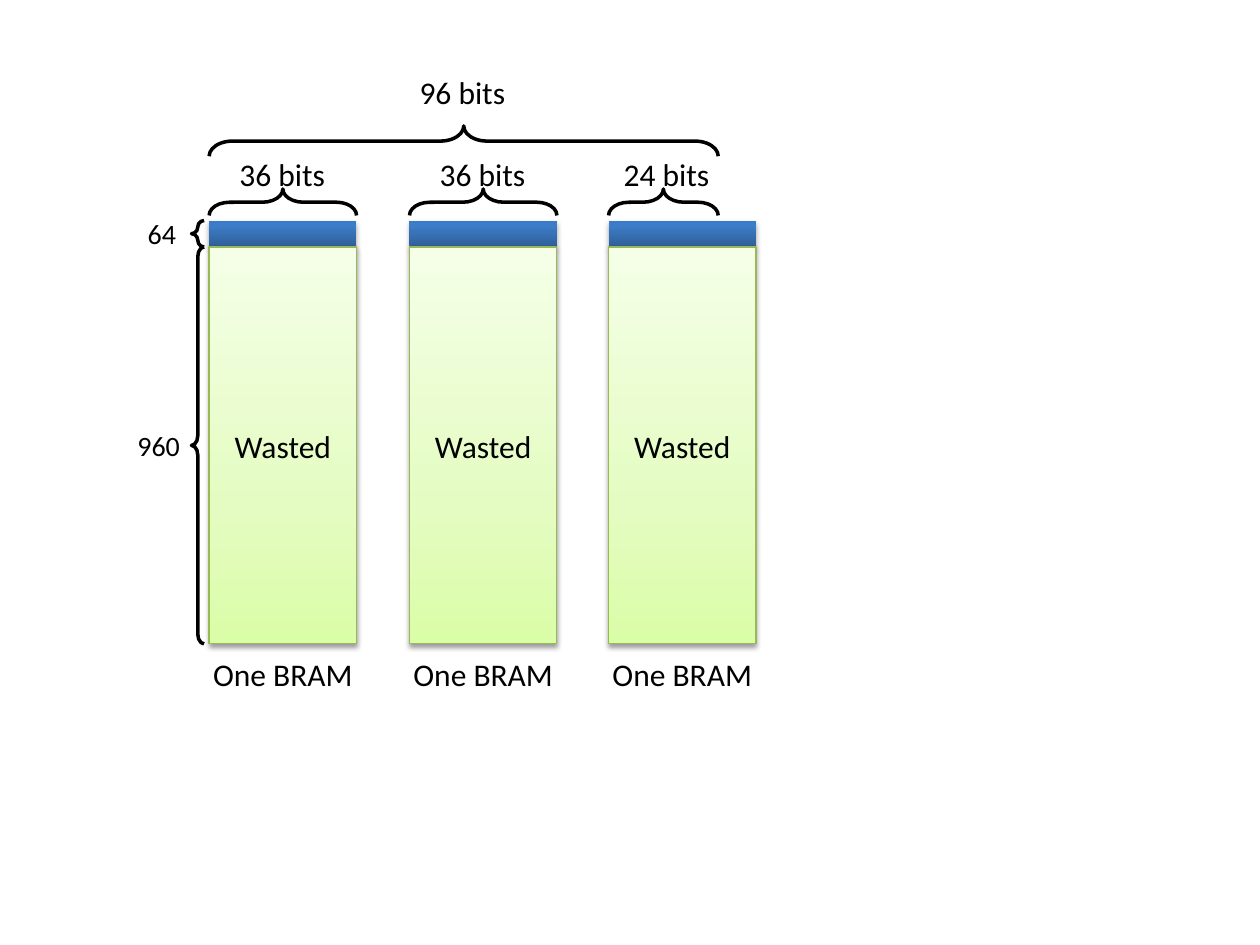
from pptx import Presentation
from pptx.dml.color import RGBColor
from pptx.enum.shapes import MSO_SHAPE
from pptx.enum.text import MSO_ANCHOR, PP_ALIGN
from pptx.oxml import parse_xml
from pptx.oxml.ns import nsdecls
from pptx.util import Inches, Pt

# Content: left edge, used width, bit label, label left
BLOCKS = [
    (1.66, 1.17, "36 bits", 1.74),
    (3.25, 1.17, "36 bits", 3.33),
    (4.83, 0.87, "24 bits", 4.79),
]
# Row count label, left, top, width, brace top, brace height
ROWS = [
    ("64", 1.05, 1.67, 0.47, 1.75, 0.21),
    ("960", 0.93, 3.35, 0.66, 1.96, 3.15),
]
TOTAL, WASTED, CAPTION = "96 bits", "Wasted", "One BRAM"

BLOCK_WIDTH, CAPTION_WIDTH = 1.17, 1.51
USED_TOP, USED_HEIGHT = 1.75, 0.21
WASTED_TOP, WASTED_HEIGHT = 1.96, 3.15
BLUE = [(0, "2F5F99"), (80, "3D7CC7"), (100, "3A7CCB")]
GREEN = [(0, "DAFDA7"), (35, "E4FCC2"), (100, "F5FFE7")]
BLACK, GREEN_EDGE = "000000", "98B955"

deck = Presentation()
deck.slide_width, deck.slide_height = Inches(10), Inches(7.5)
slide = deck.slides.add_slide(deck.slide_layouts[6])


def color(value):
    return RGBColor.from_string(value)


def write(frame, text, size=18):
    frame.word_wrap = True
    frame.vertical_anchor = MSO_ANCHOR.MIDDLE
    paragraph = frame.paragraphs[0]
    paragraph.alignment = PP_ALIGN.CENTER
    run = paragraph.add_run()
    run.text = text
    run.font.name, run.font.size = "Calibri", Pt(size)
    run.font.color.rgb = color(BLACK)


def label(text, left, top, width=1, height=0.4, size=18):
    box = slide.shapes.add_textbox(*map(Inches, (left, top, width, height)))
    write(box.text_frame, text, size=size)


def brace(left, top, width, height, up=False):
    """Brace filling the given area, pointing left or up."""
    if up:
        left, top = left + (width - height) / 2, top + (height - width) / 2
        width, height = height, width
    mark = slide.shapes.add_shape(
        MSO_SHAPE.LEFT_BRACE, *map(Inches, (left, top, width, height)))
    mark.rotation = 90 if up else 0
    mark.adjustments[0] = 0.77
    mark.shadow.inherit = False
    mark.fill.background()
    mark.line.color.rgb, mark.line.width = color(BLACK), Pt(2)


def memory(left, top, height, stops, alpha, distance, edge=None):
    """Shadowed memory area with a vertical gradient, first stop lowest."""
    area = slide.shapes.add_shape(
        MSO_SHAPE.RECTANGLE, *map(Inches, (left, top, BLOCK_WIDTH, height)))
    area.fill.gradient()
    area.fill.gradient_angle = 90
    stop_list = area._element.spPr.find(".//{*}gsLst")
    for old in list(stop_list):
        stop_list.remove(old)
    for position, value in stops:
        stop_list.append(parse_xml(
            f'<a:gs {nsdecls("a")} pos="{position * 1000}">'
            f'<a:srgbClr val="{value}"/></a:gs>'))
    if edge:
        area.line.color.rgb, area.line.width = color(edge), Pt(0.75)
    else:
        area.line.fill.background()
    area.shadow.inherit = False
    area._element.spPr.find("{*}effectLst").append(parse_xml(
        f'<a:outerShdw {nsdecls("a")} blurRad="{Pt(3.1)}" '
        f'dist="{Pt(distance)}" dir="5400000" rotWithShape="0">'
        f'<a:srgbClr val="{BLACK}"><a:alpha val="{alpha * 1000}"/>'
        '</a:srgbClr></a:outerShdw>'))
    return area


# Used rows with their bit widths
for left, used, bits, label_left in BLOCKS:
    memory(left, USED_TOP, USED_HEIGHT, BLUE, 35, 1.8)
    brace(left, 1.5, used, 0.21, up=True)
    label(bits, label_left, 1.18)

# Total width
first_left = BLOCKS[0][0]
last_left, last_used = BLOCKS[-1][:2]
brace(first_left, 1, last_left + last_used - first_left, 0.24, up=True)
label(TOTAL, 3.17, 0.53)

# Wasted rows and block captions
for left, *_ in BLOCKS:
    wasted = memory(left, WASTED_TOP, WASTED_HEIGHT, GREEN, 38, 1.6, GREEN_EDGE)
    write(wasted.text_frame, WASTED)
    label(CAPTION, left + (BLOCK_WIDTH - CAPTION_WIDTH) / 2, 5.15, CAPTION_WIDTH)

# Row counts
for count, left, top, width, brace_top, brace_height in ROWS:
    brace(1.52, brace_top, 0.1, brace_height)
    label(count, left, top, width, 0.37, size=16)

deck.save("out.pptx")
